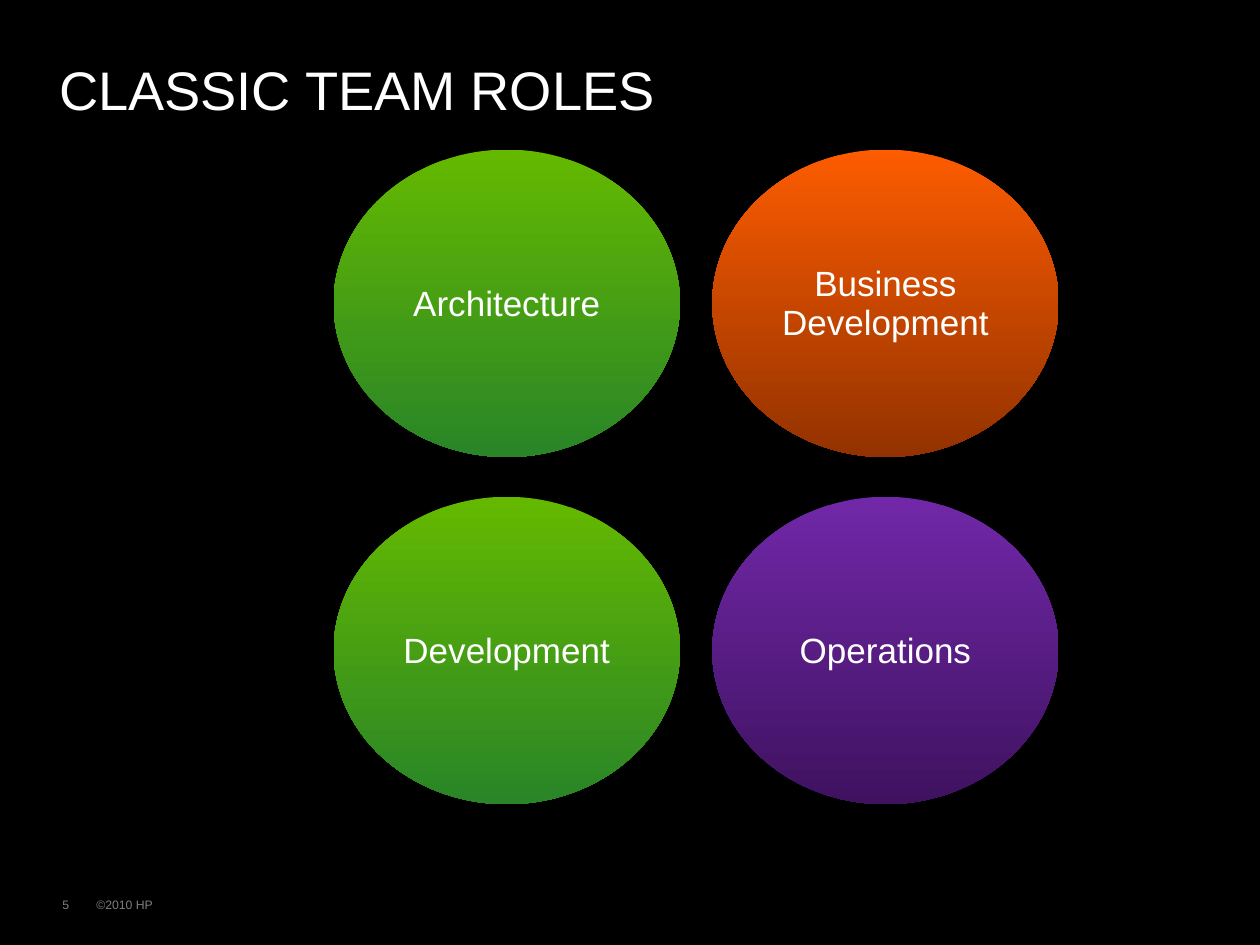
"""Build the slide of classic team roles."""
from pptx import Presentation
from pptx.dml.color import RGBColor
from pptx.enum.shapes import MSO_SHAPE
from pptx.enum.text import MSO_ANCHOR, MSO_AUTO_SIZE, PP_ALIGN
from pptx.util import Pt

GREEN = ("64B900", "298527")
ORANGE = ("FD5C00", "933200")
PURPLE = ("7128A8", "3F1260")
ROLES = [
    [("Architecture", GREEN), ("Business Development", ORANGE)],
    [("Development", GREEN), ("Operations", PURPLE)],
]


def rgb(color):
    return RGBColor.from_string(color)


class Deck:
    font = "Arial"
    white = "FFFFFF"
    gray = "7F7F7F"

    def __init__(self, width, height):
        self.prs = Presentation()
        self.prs.slide_width, self.prs.slide_height = Pt(width), Pt(height)
        self.s = None

    def slide(self, background):
        self.s = self.prs.slides.add_slide(self.prs.slide_layouts[5])
        fill = self.s.background.fill
        fill.solid()
        fill.fore_color.rgb = rgb(background)

    def set_text(self, sp, text, size, color, spacing, align=PP_ALIGN.LEFT,
                 anchor=MSO_ANCHOR.TOP, top=3.6):
        tf = sp.text_frame
        tf.word_wrap = True
        tf.auto_size = MSO_AUTO_SIZE.NONE
        tf.vertical_anchor = anchor
        tf.margin_left = tf.margin_right = Pt(7.2)
        tf.margin_top, tf.margin_bottom = Pt(top), Pt(3.6)
        p = tf.paragraphs[0]
        p.text = text
        p.alignment = align
        p.line_spacing = spacing
        p.font.name, p.font.size = self.font, Pt(size)
        p.font.color.rgb = rgb(color)

    def title(self, text, x, y, w, h):
        sp = self.s.shapes.title
        sp.left, sp.top, sp.width, sp.height = Pt(x), Pt(y), Pt(w), Pt(h)
        self.set_text(sp, text, 31, self.white, Pt(32.9))

    def footer(self, text, x, y, w, h):
        sp = self.s.shapes.add_textbox(Pt(x), Pt(y), Pt(w), Pt(h))
        self.set_text(sp, text, 7, self.gray, 0.93, top=4.3)

    def ellipse(self, text, colors, x, y, w, h):
        sp = self.s.shapes.add_shape(MSO_SHAPE.OVAL, Pt(x), Pt(y), Pt(w), Pt(h))
        sp.shadow.inherit = False
        sp.line.fill.background()
        sp.fill.gradient()
        sp.fill.gradient_angle = 270
        for stop, color, position in zip(sp.fill.gradient_stops, colors, (0, 1)):
            stop.color.rgb = rgb(color)
            stop.position = position
        self.set_text(sp, text, 20, self.white, 0.93, PP_ALIGN.CENTER,
                      MSO_ANCHOR.MIDDLE, top=5)


def main():
    deck = Deck(720, 540)
    deck.slide("000000")
    deck.footer("©2010 HP", 48, 509, 310, 17.3)
    deck.footer("5", 28.6, 509, 30, 17.3)
    deck.title("CLASSIC TEAM ROLES", 26.6, 33.1, 659.5, 69.1)
    for row, roles in enumerate(ROLES):
        for col, (name, colors) in enumerate(roles):
            deck.ellipse(name, colors, 190.6 + 216.4 * col,
                         85.5 + 198.4 * row, 198, 175.7)
    deck.prs.save("out.pptx")


if __name__ == "__main__":
    main()
